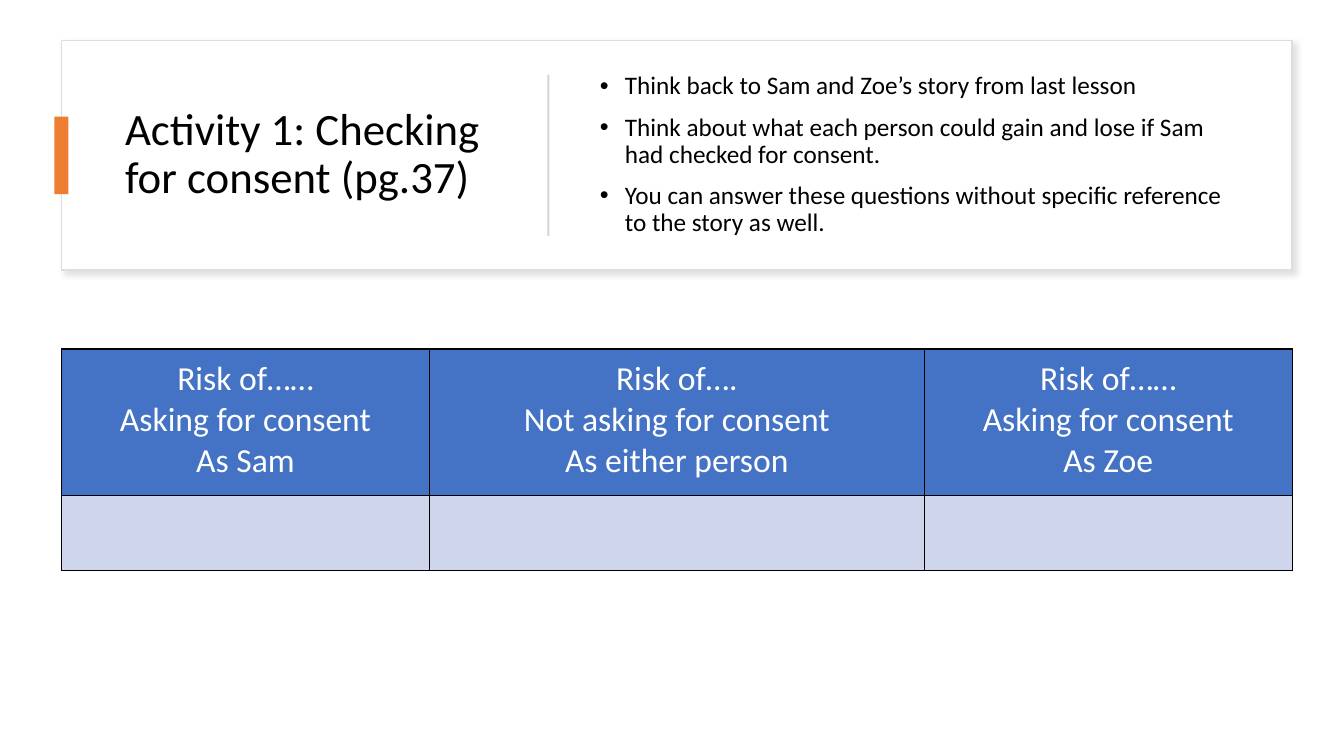
from dataclasses import dataclass

from lxml import etree
from pptx import Presentation
from pptx.dml.color import RGBColor
from pptx.enum import shapes, text
from pptx.oxml import ns
from pptx.util import Pt


@dataclass(frozen=True)
class Theme:
    """Colours, font and type sizes of the slide."""
    font: str = "Calibri"
    title: int = 32
    body: int = 18
    cell: int = 24
    ink: str = "000000"
    paper: str = "FFFFFF"
    edge: str = "DEDEDE"
    shadow: str = "C5C3C3"
    accent: str = "ED7D31"
    divider: str = "D5D5D5"
    header: str = "4472C4"
    blank: str = "CFD5EA"


THEME = Theme()
LEFT, WIDTH = 43.9, 879.1
SIDE_COLUMN = 262.8
BULLETS = [
    "Think back to Sam and Zoe’s story from last lesson",
    "Think about what each person could gain and lose if Sam had checked for consent.",
    "You can answer these questions without specific reference to the story as well.",
]
HEADERS = [
    ["Risk of……", "Asking for consent", "As Sam"],
    ["Risk of….", "Not asking for consent", "As either person"],
    ["Risk of……", "Asking for consent", "As Zoe"],
]


def add_xml(parent, tag, **attrs):
    """Append a DrawingML element and return it."""
    return etree.SubElement(parent, ns.qn(tag), attrs)


def add_run(p, words, size, color):
    """Add one formatted run to a paragraph."""
    r = p.add_run()
    r.text = words
    r.font.name = THEME.font
    r.font.size = Pt(size)
    r.font.bold = False
    r.font.color.rgb = RGBColor.from_string(color)


def add_paragraphs(tf, lines):
    """Yield a paragraph of the frame with each line."""
    for i, line in enumerate(lines):
        yield (tf.add_paragraph() if i else tf.paragraphs[0]), line


def add_box(s, left, top, width, height, fill, edge=None):
    """Draw a flat rectangle."""
    sp = s.shapes.add_shape(shapes.MSO_SHAPE.RECTANGLE,
                            Pt(left), Pt(top), Pt(width), Pt(height))
    sp.shadow.inherit = False
    sp.fill.solid()
    sp.fill.fore_color.rgb = RGBColor.from_string(fill)
    if edge:
        sp.line.color.rgb = RGBColor.from_string(edge)
        sp.line.width = Pt(1)
    else:
        sp.line.fill.background()
    return sp


def add_shadow(sp):
    """Give a shape a soft shadow to the lower right."""
    effects = sp.element.spPr.find(ns.qn("a:effectLst"))
    shadow = add_xml(effects, "a:outerShdw", blurRad=str(Pt(4)), dist=str(Pt(3)),
                     dir="2700000", algn="tl", rotWithShape="0")
    color = add_xml(shadow, "a:srgbClr", val=THEME.shadow)
    add_xml(color, "a:alpha", val="50000")


def place(s, sp, left, top, width, height):
    """Bring a placeholder to the front, place it and return its text frame."""
    s.shapes.element.append(sp.element)
    sp.left, sp.top, sp.width, sp.height = Pt(left), Pt(top), Pt(width), Pt(height)
    tf = sp.text_frame
    tf.word_wrap = True
    tf.auto_size = text.MSO_AUTO_SIZE.NONE
    tf.vertical_anchor = text.MSO_ANCHOR.MIDDLE
    return tf


def fill_title(tf, words):
    """Write the title, aligned left."""
    p = tf.paragraphs[0]
    p.alignment = text.PP_ALIGN.LEFT
    p.line_spacing = 0.9
    add_run(p, words, THEME.title, THEME.ink)


def fill_bullets(tf, lines):
    """Write a bulleted list."""
    for p, line in add_paragraphs(tf, lines):
        pPr = p._p.get_or_add_pPr()
        pPr.set("marL", str(Pt(18)))
        pPr.set("indent", str(-Pt(18)))
        add_xml(pPr, "a:buFont", typeface="Arial")
        add_xml(pPr, "a:buChar", char="•")
        p.line_spacing = 0.9
        p.space_before = Pt(0 if line == lines[0] else 10)
        add_run(p, line, THEME.body, THEME.ink)


def format_cell(cell, fill):
    """Set the borders, margins and fill of a cell."""
    tcPr = cell._tc.get_or_add_tcPr()
    for side in ("a:lnL", "a:lnR", "a:lnT", "a:lnB"):
        ln = add_xml(tcPr, side, w=str(Pt(1)))
        add_xml(add_xml(ln, "a:solidFill"), "a:srgbClr", val=THEME.ink)
    cell.margin_left = cell.margin_right = Pt(13)
    cell.margin_top = cell.margin_bottom = Pt(6.5)
    cell.fill.solid()
    cell.fill.fore_color.rgb = RGBColor.from_string(fill)


def add_risk_table(s, top, widths, heights):
    """Draw the table with a header row and a blank answer row."""
    frame = s.shapes.add_table(len(heights), len(widths), Pt(LEFT), Pt(top),
                               Pt(sum(widths)), Pt(sum(heights)))
    table = frame.table
    table.first_row = table.horz_banding = False
    for row, height in zip(table.rows, heights):
        row.height = Pt(height)
    for i, (width, lines) in enumerate(zip(widths, HEADERS)):
        table.columns[i].width = Pt(width)
        format_cell(table.cell(0, i), THEME.header)
        format_cell(table.cell(1, i), THEME.blank)
        for p, line in add_paragraphs(table.cell(0, i).text_frame, lines):
            p.alignment = text.PP_ALIGN.CENTER
            add_run(p, line, THEME.cell, THEME.paper)


def main():
    """Build the slide and save it."""
    prs = Presentation()
    prs.slide_width, prs.slide_height = Pt(960), Pt(540)
    s = prs.slides.add_slide(prs.slide_layouts[1])
    title, body = s.placeholders
    add_shadow(add_box(s, LEFT, 28.8, WIDTH, 164.2, THEME.paper, THEME.edge))
    fill_title(place(s, title, 82.1, 46.1, 280, 129.6),
               "Activity 1: Checking for consent (pg.37)")
    add_box(s, 38.8, 83.4, 10, 55.4, THEME.accent)
    add_box(s, 391, 53.3, 1.4, 115.2, THEME.divider)
    fill_bullets(place(s, body, 421.2, 46.1, 472.3, 129.6), BULLETS)
    add_risk_table(s, 249.3, [SIDE_COLUMN, WIDTH - 2 * SIDE_COLUMN, SIDE_COLUMN],
                   [104.4, 53.6])
    prs.save("out.pptx")


if __name__ == "__main__":
    main()
